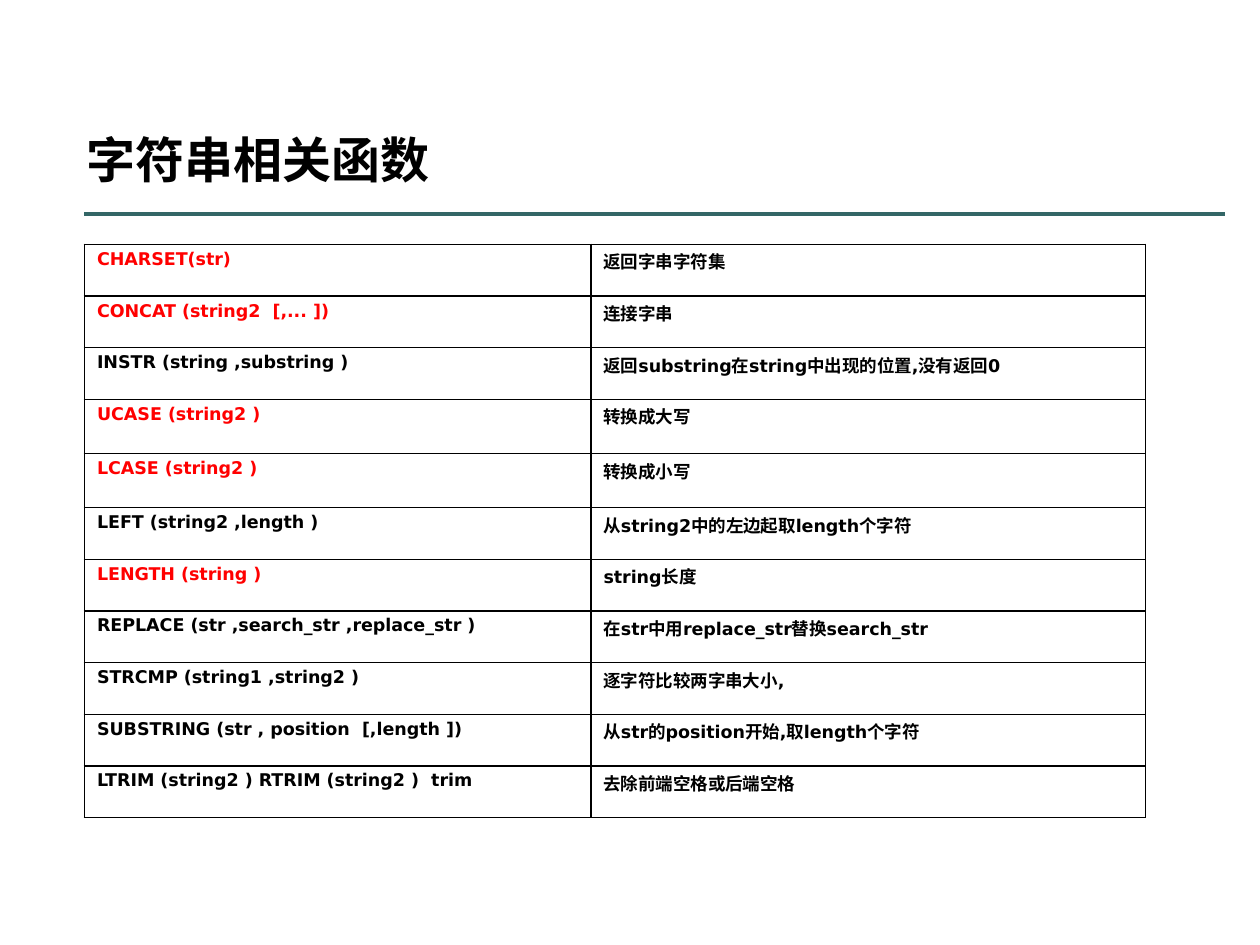
from typing import NamedTuple

import pptx
import pptx.dml.color
import pptx.enum.shapes
import pptx.enum.text
import pptx.oxml
import pptx.oxml.ns
import pptx.util
from pptx.util import Inches

BLACK = pptx.dml.color.RGBColor(0x00, 0x00, 0x00)
RED = pptx.dml.color.RGBColor(0xFF, 0x00, 0x00)
GREEN = pptx.dml.color.RGBColor(0x33, 0x66, 0x66)
SPACE = pptx.oxml.ns.nsdecls("a")


class Func(NamedTuple):
    call: str
    note: str
    color: pptx.dml.color.RGBColor = BLACK
    height: float = 0.41
    hang: float = 0.25


FUNCS = [
    Func("CHARSET(str)", "返回字串字符集", RED),
    Func("CONCAT (string2  [,... ])", "连接字串", RED),
    Func("INSTR (string ,substring )", "返回substring在string中出现的位置,没有返回0"),
    Func("UCASE (string2 )", "转换成大写", RED, 0.43, 0),
    Func("LCASE (string2 )", "转换成小写", RED, 0.43),
    Func("LEFT (string2 ,length )", "从string2中的左边起取length个字符"),
    Func("LENGTH (string )", "string长度", RED),
    Func("REPLACE (str ,search_str ,replace_str )", "在str中用replace_str替换search_str"),
    Func("STRCMP (string1 ,string2 )", "逐字符比较两字串大小,"),
    Func("SUBSTRING (str , position  [,length ])", "从str的position开始,取length个字符"),
    Func("LTRIM (string2 ) RTRIM (string2 )  trim", "去除前端空格或后端空格"),
]
WIDTHS = [4.02, 4.4]


def write(frame, text: str, face: str, size: float, color) -> None:
    frame.text = text
    para = frame.paragraphs[0]
    para.line_spacing = 0.9
    font = para.runs[0].font
    font.name, font.size, font.bold = face, pptx.util.Pt(size), True
    font.color.rgb = color


def border(cell) -> None:
    props = cell._tc.get_or_add_tcPr()
    for spot, side in enumerate(("lnL", "lnR", "lnT", "lnB")):
        props.insert(spot, pptx.oxml.parse_xml(
            f'<a:{side} {SPACE} w="{pptx.util.Pt(1)}"><a:solidFill>'
            f'<a:srgbClr val="{BLACK}"/></a:solidFill></a:{side}>'))


def fill_cell(cell, text: str, color, hang: float) -> None:
    cell.fill.background()
    border(cell)
    write(cell.text_frame, text, "DejaVu Sans", 10, color)
    if hang:
        props = cell.text_frame.paragraphs[0]._p.get_or_add_pPr()
        props.set("marL", str(Inches(hang)))
        props.set("indent", str(-Inches(hang)))


def add_title(slide) -> None:
    box = slide.shapes.add_textbox(Inches(0.59), Inches(0.84), Inches(8.9), Inches(0.71))
    frame = box.text_frame
    frame.word_wrap = True
    frame.vertical_anchor = pptx.enum.text.MSO_ANCHOR.BOTTOM
    write(frame, "字符串相关函数", "Calibri", 28, BLACK)


def add_rule(slide) -> None:
    rule = slide.shapes.add_connector(
        pptx.enum.shapes.MSO_CONNECTOR.STRAIGHT,
        Inches(0.67), Inches(1.7), Inches(9.72), Inches(1.7))
    rule.line.color.rgb = GREEN
    rule.line.width = pptx.util.Pt(2)
    rule._element.spPr.append(pptx.oxml.parse_xml(f"<a:effectLst {SPACE}/>"))


def add_grid(slide) -> None:
    high = sum(func.height for func in FUNCS)
    table = slide.shapes.add_table(
        len(FUNCS), len(WIDTHS), Inches(0.67), Inches(1.94),
        Inches(sum(WIDTHS)), Inches(high)).table
    table.first_row = table.horz_banding = False
    for col, width in zip(table.columns, WIDTHS):
        col.width = Inches(width)
    for row, func in zip(table.rows, FUNCS):
        row.height = Inches(func.height)
        fill_cell(row.cells[0], func.call, func.color, func.hang)
        fill_cell(row.cells[1], func.note, BLACK, func.hang)


def main() -> None:
    deck = pptx.Presentation()
    deck.slide_width, deck.slide_height = Inches(10), Inches(7.5)
    slide = deck.slides.add_slide(deck.slide_layouts[6])
    # Heading with its rule
    add_title(slide)
    add_rule(slide)
    # Function list
    add_grid(slide)
    deck.save("out.pptx")


if __name__ == "__main__":
    main()
